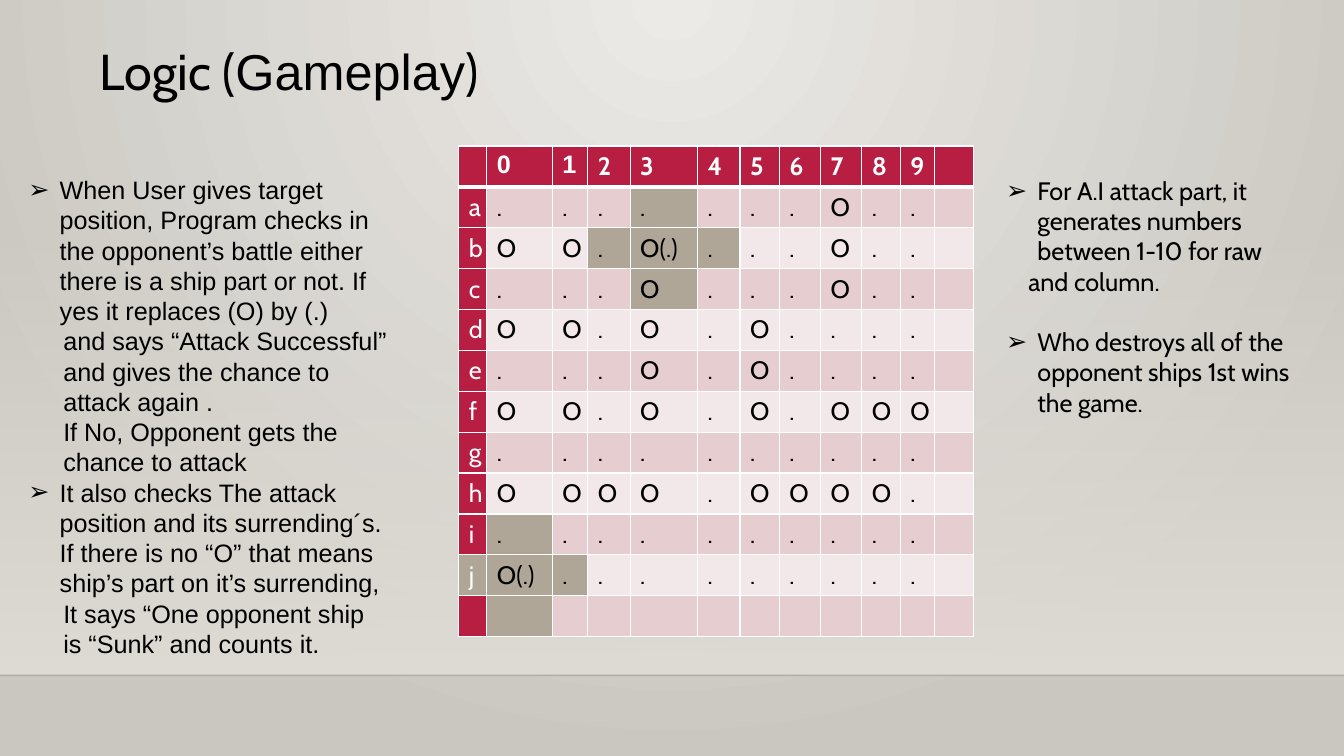
from lxml import etree
from pptx import Presentation
from pptx.dml.color import RGBColor
from pptx.enum.shapes import MSO_CONNECTOR, MSO_SHAPE
from pptx.enum.text import MSO_ANCHOR, MSO_AUTO_SIZE, PP_ALIGN
from pptx.oxml.ns import qn
from pptx.util import Cm, Pt

RECTANGLE = MSO_SHAPE.RECTANGLE
STRAIGHT = MSO_CONNECTOR.STRAIGHT
TOP = MSO_ANCHOR.TOP
NO_AUTOFIT = MSO_AUTO_SIZE.NONE
LEFT = PP_ALIGN.LEFT

COLORS = {
    "text": "000000",
    "white": "FFFFFF",
    "header": "B71E42",
    "odd_row": "E6CDCF",
    "even_row": "F3E8E9",
    "marked": "B0A697",
    "glow": "ECEAE7",
    "edge": "CAC7C1",
    "wall": "DFDBD5",
    "horizon": "000001",
}

TITLE = [("Logic (", "Cabin"), ("Gameplay", "Arial"), (")", "Cabin")]

# Each entry: text, has a bullet, space before in points
USER_RULES = [
    ("When User gives target position, Program checks in the opponent’s battle "
     "either there is a ship part or not. If yes it replaces (O) by (.)", True, 0),
    ("and says “Attack Successful”", False, 0),
    ("and gives the chance to", False, 0),
    ("attack again .", False, 0),
    ("If No, Opponent gets the", False, 0),
    ("chance to attack", False, 0),
    ("It also checks The attack position and its surrending´s. If there is no “O” "
     "that means ship’s part on it’s surrending,", True, 0),
    ("It says “One opponent ship", False, 0),
    ("is “Sunk” and counts it.", False, 0),
]
AI_RULES = [
    ("For A.I attack part, it generates numbers between 1-10 for raw", True, 0),
    ("and column.", False, 0),
    ("Who destroys all of the opponent ships 1st wins the game.", True, 21.6),
]

BOARD = [
    ["", *"0123456789", ""],
    *(line.split() + [""] for line in (
        "a . . . . . . . O . .",
        "b O O . O(.) . . . O . .",
        "c . . . O . . . O . .",
        "d O O . O . O . . . .",
        "e . . . O . O . . . .",
        "f O O . O . O . O O O",
        "g . . . . . . . . . .",
        "h O O O O . O O O O .",
        "i . . . . . . . . . .",
        "j O(.) . . . . . . . . .",
    )),
    [""] * 12,
]
# Attacked cells as (row, column); their neighbours are marked as well
ATTACKS = [(2, 4), (10, 1)]
MARKED = {(row + down, column + across) for row, column in ATTACKS
          for down, across in ((0, 0), (-1, 0), (1, 0), (0, -1), (0, 1))}
COLUMN_WIDTHS = [0.71, 1.65, 0.89, 1.07, 1.7, 1.07, 0.99, 1.04, 1.04, 0.97, 0.86, 0.99]
ROW_HEIGHT = 1.02

SLIDE_WIDTH, SLIDE_HEIGHT = 33.87, 19.05
WALL_TOP, HORIZON = 5.61, 17.02
HANGING = 0.79


def rgb(name):
    return RGBColor.from_string(COLORS[name])


def add_alpha(color_parent, percent):
    color = color_parent.find(".//" + qn("a:srgbClr"))
    etree.SubElement(color, qn("a:alpha"), val=str(percent * 1000))


def fill_gradient(fill, first, last):
    fill.gradient()
    for stop, name, position in zip(fill.gradient_stops, (first, last), (0, 1)):
        stop.color.rgb = rgb(name)
        stop.position = position


def paint_background(page):
    fill = page.background.fill
    fill_gradient(fill, "glow", "edge")
    gradient = page.background._cSld.find(".//" + qn("a:gradFill"))
    linear = gradient.find(qn("a:lin"))
    circle = etree.Element(qn("a:path"), {"path": "circle"})
    etree.SubElement(circle, qn("a:fillToRect"), l="43000", t="0", r="43000", b="100000")
    gradient.replace(linear, circle)


def add_wall(page):
    """Fading wall above the horizon line, both behind the text."""
    wall = page.shapes.add_shape(RECTANGLE, 0, Cm(WALL_TOP), Cm(SLIDE_WIDTH),
                                 Cm(HORIZON - WALL_TOP))
    wall.shadow.inherit = False
    wall.line.fill.background()
    fill_gradient(wall.fill, "wall", "wall")
    wall.fill.gradient_angle = 270
    add_alpha(wall.element.spPr.find(".//" + qn("a:gs")), 0)

    line = page.shapes.add_connector(STRAIGHT, 0, Cm(HORIZON), Cm(SLIDE_WIDTH), Cm(HORIZON))
    line.line.color.rgb = rgb("horizon")
    line.line.width = Pt(1)
    add_alpha(line.element.spPr.find(qn("a:ln")), 20)
    etree.SubElement(line.element.spPr, qn("a:effectLst"))

    for depth, shape in enumerate((wall, line)):
        page.shapes.element.insert(2 + depth, shape.element)


def place(box, left, top, width, height):
    position = {"left": left, "top": top, "width": width, "height": height}
    for name, value in position.items():
        setattr(box, name, Cm(value))
    frame_format = {"word_wrap": True, "auto_size": NO_AUTOFIT, "vertical_anchor": TOP}
    for name, value in frame_format.items():
        setattr(box.text_frame, name, value)


def add_span(para, text, font, size=18, color="text", bold=False):
    span = para.add_run()
    span.text = text
    for name, value in {"name": font, "size": Pt(size), "bold": bold}.items():
        setattr(span.font, name, value)
    span.font.color.rgb = rgb(color)


def write_list(box, items, font, plain_indent):
    for number, (text, bulleted, space) in enumerate(items):
        frame = box.text_frame
        para = frame.add_paragraph() if number else frame.paragraphs[0]
        properties = para._p.get_or_add_pPr()
        properties.set("marL", str(Cm(HANGING if bulleted else plain_indent)))
        properties.set("indent", str(-Cm(HANGING) if bulleted else 0))
        if bulleted:
            etree.SubElement(properties, qn("a:buFont"), typeface="Arial")
            etree.SubElement(properties, qn("a:buChar"), char="➢")
        else:
            etree.SubElement(properties, qn("a:buNone"))
        para.space_before = Pt(space)
        add_span(para, text, font)


def add_borders(cell, row):
    properties = cell._tc.get_or_add_tcPr()
    thick = {0: "lnB", 1: "lnT"}.get(row)
    for side in ("lnL", "lnR", "lnT", "lnB"):
        width = Pt(3 if side == thick else 1)
        border = etree.SubElement(properties, qn("a:" + side), w=str(width))
        fill = etree.SubElement(border, qn("a:solidFill"))
        etree.SubElement(fill, qn("a:srgbClr"), val=COLORS["white"])


def cell_fill(row, column):
    if (row, column) in MARKED:
        return "marked"
    if row == 0 or column == 0:
        return "header"
    return "odd_row" if row % 2 else "even_row"


def add_board(page):
    frame = page.shapes.add_table(len(BOARD), len(COLUMN_WIDTHS), Cm(11.56), Cm(3.68),
                                  Cm(sum(COLUMN_WIDTHS)), Cm(ROW_HEIGHT * len(BOARD)))
    table = frame.table
    for column, width in zip(table.columns, COLUMN_WIDTHS):
        column.width = Cm(width)
    for row, texts in enumerate(BOARD):
        table.rows[row].height = Cm(ROW_HEIGHT)
        for column, text in enumerate(texts):
            cell = table.cell(row, column)
            add_borders(cell, row)
            cell.fill.solid()
            cell.fill.fore_color.rgb = rgb(cell_fill(row, column))
            if text:
                add_span(cell.text_frame.paragraphs[0], text,
                         font="Arial" if row == 0 and column < 3 else "Cabin",
                         color="text" if row and column else "white", bold=row == 0)


def main():
    deck = Presentation()
    deck.slide_width, deck.slide_height = Cm(SLIDE_WIDTH), Cm(SLIDE_HEIGHT)
    page = deck.slides.add_slide(deck.slide_layouts[3])
    title, user_box, ai_box = page.placeholders

    paint_background(page)
    add_wall(page)

    place(title, 2.26, 0.89, 19.41, 1.8)
    heading = title.text_frame.paragraphs[0]
    heading.alignment = LEFT
    for text, font in TITLE:
        add_span(heading, text, font, size=36)

    add_board(page)
    place(user_box, 0.46, 4.27, 9.91, 12.57)
    write_list(user_box, USER_RULES, "Arial", plain_indent=0.88)
    place(ai_box, 25.1, 4.29, 8.23, 7.19)
    write_list(ai_box, AI_RULES, "Cabin", plain_indent=0.56)

    deck.save("out.pptx")


if __name__ == "__main__":
    main()
